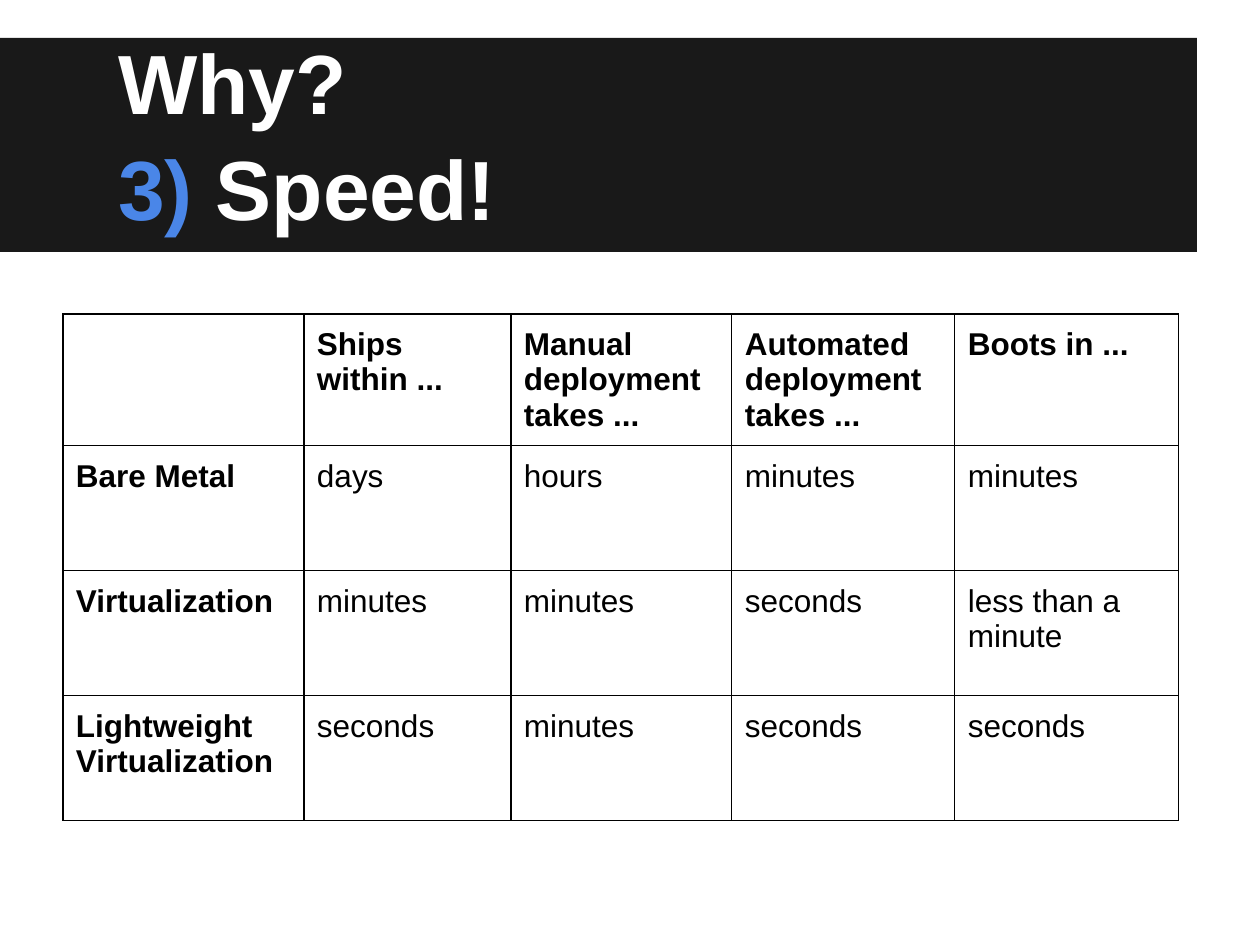
from typing import NamedTuple

from lxml.etree import SubElement as Sub
from pptx import Presentation
from pptx.dml.color import RGBColor as Rgb
from pptx.enum.shapes import MSO_SHAPE as Shape
from pptx.enum.text import MSO_ANCHOR as Anchor, MSO_AUTO_SIZE as Fit, PP_ALIGN as Align
from pptx.oxml.ns import qn
from pptx.util import Emu, Pt

PX = 914400 // 126
FONT = "Arial"
COLORS = {"band": "191919", "white": "FFFFFF", "blue": "4A86E8", "black": "000000"}


class Box(NamedTuple):
    left: int
    top: int
    width: int
    height: int

    def emu(self) -> list[Emu]:
        return [px(n) for n in self]


def px(n: int) -> Emu:
    return Emu(n * PX)


def color(name: str) -> Rgb:
    return Rgb.from_string(COLORS[name])


def write(para, text: str, *, size: int = 18, tint: str = "black", bold: bool = False) -> None:
    run = para.add_run()
    run.text = text
    font = run.font
    font.name, font.size, font.bold = FONT, Pt(size), bold
    font.color.rgb = color(tint)


def border(cell, tint: str = "black", width: float = 0.75) -> None:
    props = cell._tc.get_or_add_tcPr()
    for side in ("lnL", "lnR", "lnT", "lnB"):
        line = Sub(props, qn(f"a:{side}"), w=str(Pt(width)))
        fill = Sub(line, qn("a:solidFill"))
        Sub(fill, qn("a:srgbClr"), val=COLORS[tint])


BAND = Box(0, 38, 1197, 214)
TITLE = Box(63, 38, 1134, 209)
LINES = [
    [("Why?", "white")],
    [("3)", "blue"), (" Speed!", "white")],
]
COLS = [241, 207, 221, 223, 224]
HIGHS = [131, 125, 125, 125]
GRID = Box(63, 314, sum(COLS), sum(HIGHS))
CELLS = [
    ["", "Ships within ...", "Manual deployment takes ...",
     "Automated deployment takes ...", "Boots in ..."],
    ["Bare Metal", "days", "hours", "minutes", "minutes"],
    ["Virtualization", "minutes", "minutes", "seconds", "less than a minute"],
    ["Lightweight Virtualization", "seconds", "minutes", "seconds", "seconds"],
]

deck = Presentation()
deck.slide_width, deck.slide_height = px(1260), px(945)
slide = deck.slides.add_slide(deck.slide_layouts[5])
title = slide.shapes.title

# Dark band behind the title
band = slide.shapes.add_shape(Shape.RECTANGLE, *BAND.emu())
band.shadow.inherit = False
band.fill.solid()
band.fill.fore_color.rgb = color("band")
band.line.fill.background()
title.element.addprevious(band.element)

# Title
title.left, title.top, title.width, title.height = TITLE.emu()
frame = title.text_frame
frame.auto_size = Fit.NONE
frame.word_wrap = True
frame.vertical_anchor = Anchor.BOTTOM
frame.margin_left = frame.margin_right = frame.margin_top = px(13)
frame.margin_bottom = px(10)
for i, parts in enumerate(LINES):
    para = frame.add_paragraph() if i else frame.paragraphs[0]
    para.alignment = Align.LEFT
    para.space_before = Pt(2.5 * i)
    para._p.get_or_add_pPr().set("indent", str(px(42)))
    for text, tint in parts:
        write(para, text, size=48, tint=tint, bold=True)

# Table of speeds
table = slide.shapes.add_table(len(HIGHS), len(COLS), *GRID.emu()).table
table.first_row = table.horz_banding = False
for col, width in zip(table.columns, COLS):
    col.width = px(width)
for r, (row, high) in enumerate(zip(table.rows, HIGHS)):
    row.height = px(high)
    for c, cell in enumerate(row.cells):
        cell.margin_left = cell.margin_right = px(13)
        cell.margin_top = cell.margin_bottom = px(13)
        border(cell)
        cell.fill.background()
        if CELLS[r][c]:
            write(cell.text_frame.paragraphs[0], CELLS[r][c], bold=r == 0 or c == 0)

deck.save("out.pptx")
